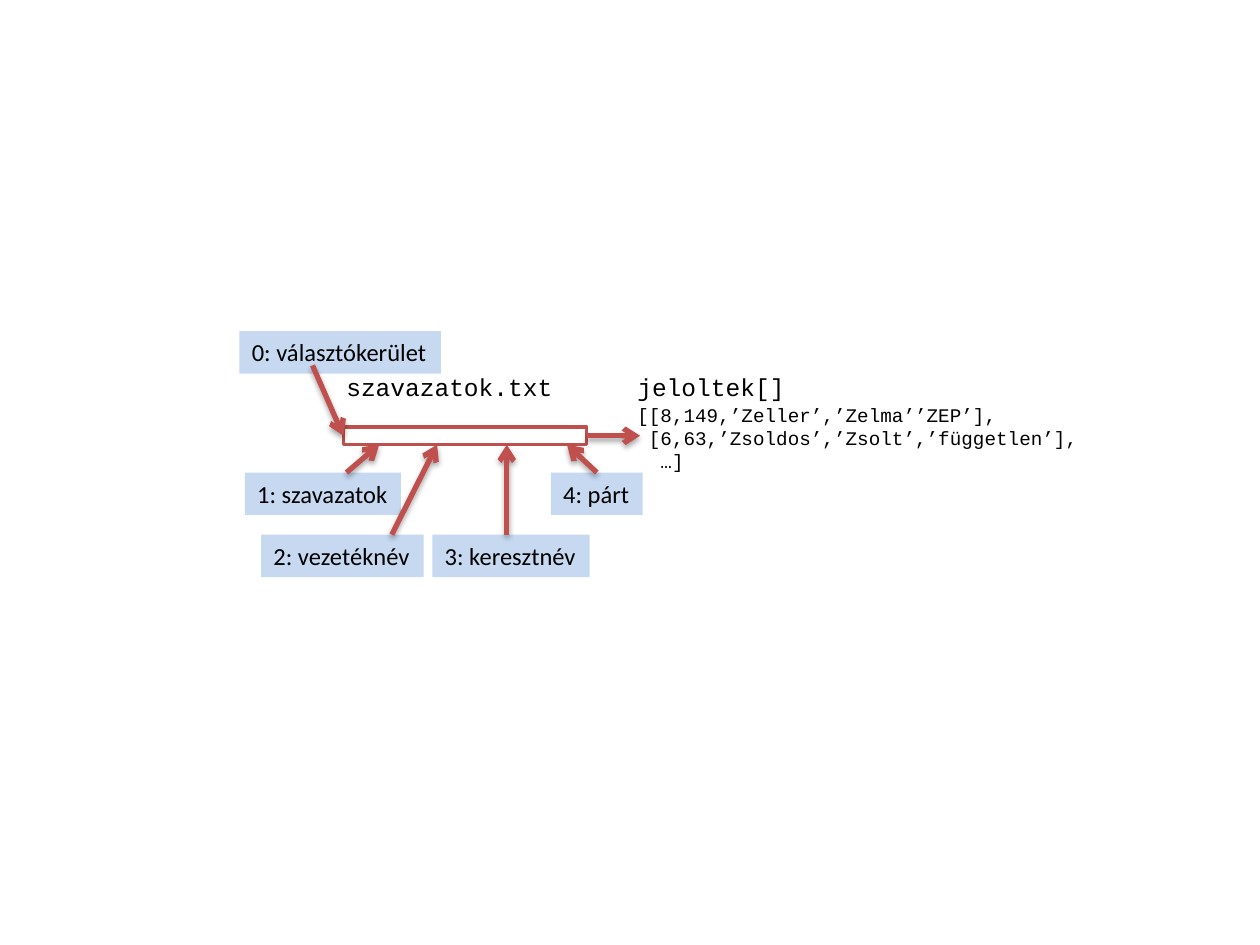
from lxml import etree
from pptx import Presentation
from pptx.dml.color import RGBColor
from pptx.enum import shapes, text
from pptx.oxml import parse_xml
from pptx.oxml.ns import nsdecls, qn
from pptx.util import Pt

COLORS = {"label": "C6D9F1", "accent": "C0504D", "ink": "000000"}
LABEL_HEIGHT = 24.3
SHADOW = (
    f'<a:effectLst {nsdecls("a")}><a:outerShdw blurRad="40000" dist="23000" '
    'dir="5400000" rotWithShape="0"><a:srgbClr val="000000">'
    '<a:alpha val="35000"/></a:srgbClr></a:outerShdw></a:effectLst>'
)


def add_text(left, top, width, height, lines, font, size, fill=None):
    box = slide.shapes.add_textbox(Pt(left), Pt(top), Pt(width), Pt(height))
    if fill:
        box.fill.solid()
        box.fill.fore_color.rgb = RGBColor.from_string(fill)
    frame = box.text_frame
    frame.word_wrap = False
    frame.auto_size = text.MSO_AUTO_SIZE.SHAPE_TO_FIT_TEXT
    frame.text = "\n".join(lines)
    for paragraph in frame.paragraphs:
        paragraph.font.name = font
        paragraph.font.size = Pt(size)
        paragraph.font.color.rgb = RGBColor.from_string(COLORS["ink"])
    return box


def add_arrow(x1, y1, x2, y2):
    arrow = slide.shapes.add_connector(
        shapes.MSO_CONNECTOR.STRAIGHT, Pt(x1), Pt(y1), Pt(x2), Pt(y2))
    arrow.line.color.rgb = RGBColor.from_string(COLORS["accent"])
    arrow.line.width = Pt(3)
    etree.SubElement(arrow.line._get_or_add_ln(), qn("a:tailEnd"), type="arrow")
    arrow._element.spPr.append(parse_xml(SHADOW))
    return arrow


prs = Presentation()
prs.slide_width, prs.slide_height = Pt(720), Pt(540)
slide = prs.slides.add_slide(prs.slide_layouts[6])

# Source file and resulting list
add_text(190.8, 208.8, 133.2, 24.3, ["szavazatok.txt"], "Courier New", 14)
add_text(357.1, 208.8, 99.4, 24.3, ["jeloltek[]"], "Courier New", 14)
add_text(357.1, 226.8, 268.6, 47.5, [
    "[[8,149,’Zeller’,’Zelma’’ZEP’],",
    " [6,63,’Zsoldos’,’Zsolt’,’független’],",
    "  …]",
], "Courier New", 11)

# One record of the file
record = slide.shapes.add_shape(
    shapes.MSO_SHAPE.RECTANGLE, Pt(196.2), Pt(243.9), Pt(139), Pt(10.2))
record.shadow.inherit = False
record.fill.background()
record.line.color.rgb = RGBColor.from_string(COLORS["accent"])
record.line.width = Pt(2)

# Field labels: left, top, width
fields = [
    ("0: választókerület", 136.8, 189.2, 115.2),
    ("1: szavazatok", 139.9, 270, 89.3),
    ("2: vezetéknév", 149.2, 305.5, 92.9),
    ("3: keresztnév", 247, 305.5, 90),
    ("4: párt", 314.8, 270, 52.5),
]
labels = [
    add_text(left, top, width, LABEL_HEIGHT, [name], "Calibri", 14, COLORS["label"])
    for name, left, top, width in fields
]

# Arrows from the labels to the record, and from the record to the list
record_bottom, record_middle = 254.1, 249
district_arrow = add_arrow(178.6, 208.8, 196.2, record_middle)
district_arrow.end_connect(record, 1)
for x1, y1, x2 in [(198, 270, 216.7), (223.9, 305.5, 249.8), (289.6, 305.5, 289.6)]:
    add_arrow(x1, y1, x2, record_bottom)
party_arrow = add_arrow(341, 270, 324, record_bottom)
party_arrow.begin_connect(labels[4], 0)
list_arrow = add_arrow(335.2, record_middle, 365.8, record_middle)
list_arrow.begin_connect(record, 3)

prs.save("out.pptx")
